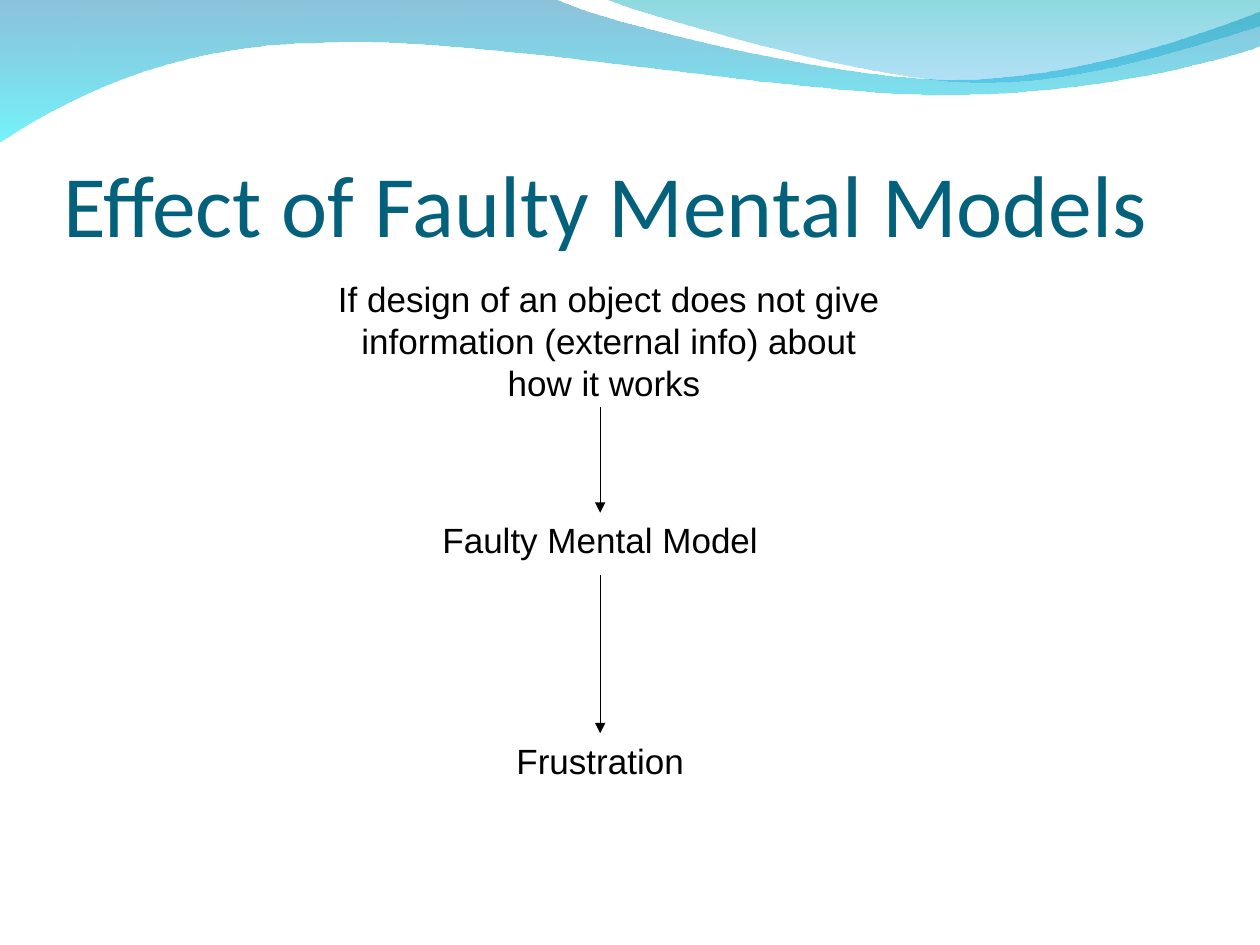
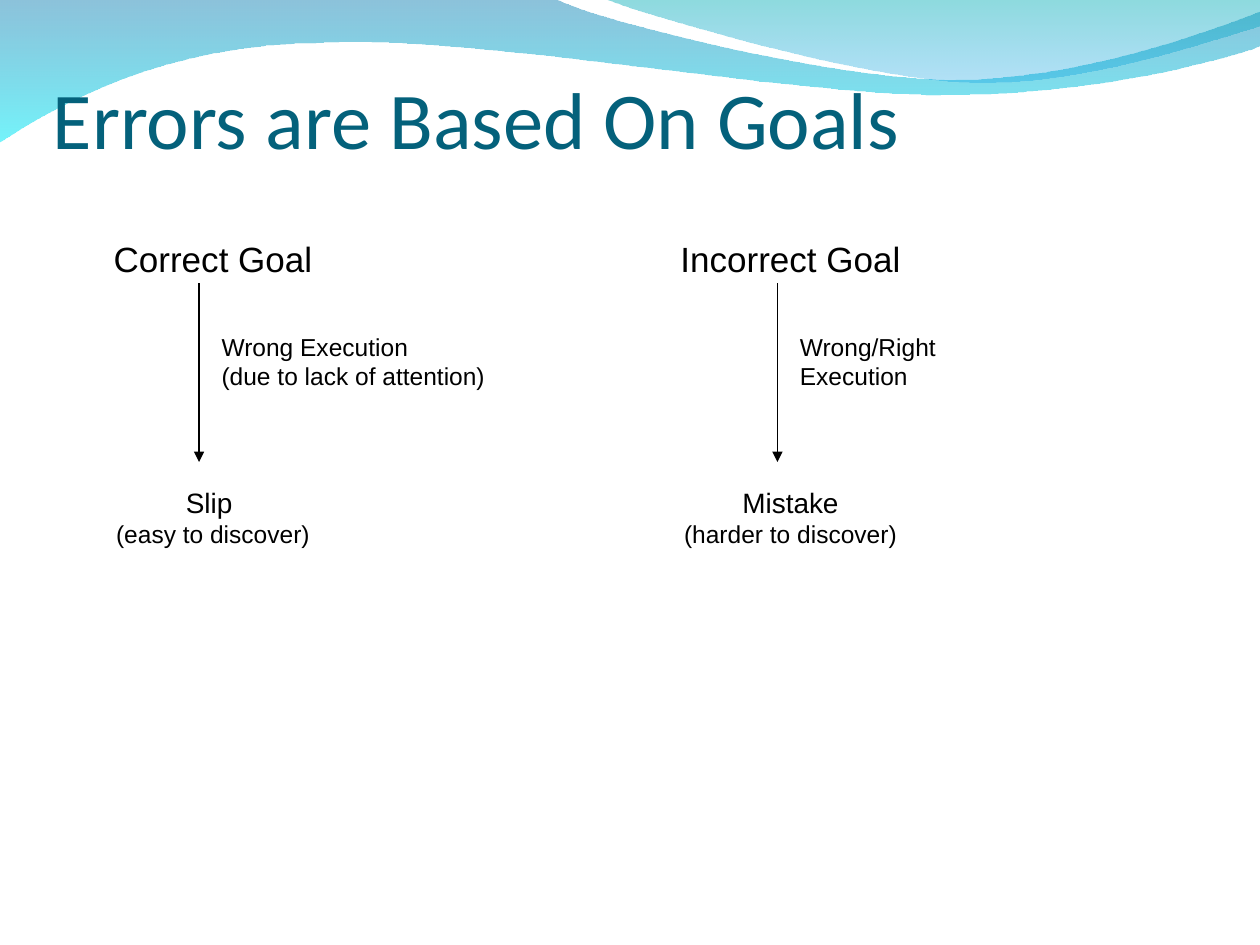
"""Build two slides on faulty mental models and goal-based errors."""
from dataclasses import dataclass

from lxml import etree
from pptx import Presentation
from pptx.dml.color import RGBColor
from pptx.enum import shapes, text
from pptx.oxml import ns
from pptx.util import Pt

TITLE_COLOR = RGBColor(0x04, 0x61, 0x7B)
INK = RGBColor(0x00, 0x00, 0x00)
WAVE_BLUE = RGBColor(0x00, 0x79, 0xAF)
WAVE_CYAN = RGBColor(0x00, 0xEB, 0xF8)
CREST_TEAL = RGBColor(0x00, 0xAD, 0xB6)
CREST_BLUE = RGBColor(0x00, 0x9B, 0xE5)
CENTER = text.PP_ALIGN.CENTER
LEFT = text.PP_ALIGN.LEFT


@dataclass(frozen=True)
class Wave:
    """A closed outline: each step holds one line end or three curve points."""

    start: tuple
    steps: tuple
    colors: tuple
    opacities: tuple


@dataclass(frozen=True)
class GoalFlow:
    """A column leading from a goal through its execution to an error."""

    goal: str
    execution: tuple
    outcome: tuple
    center: float
    goal_width: float
    outcome_width: float
    arrow_x: float
    execution_width: float


WAVES = (
    Wave(
        (0, -0.72),
        (
            ((316.8, -0.72),),
            ((342.72, 12.24), (478.08, 45.36), (545.76, 45.36)),
            ((614.16, 45.36), (689.76, 18.72), (720, 6.48)),
            ((720.72, 25.92),),
            ((707.76, 31.68), (626.4, 54.72), (537.12, 54)),
            ((446.4, 54), (275.04, 20.16), (185.04, 24.48)),
            ((92.88, 25.2), (33.12, 59.76), (-0.72, 81.36)),
            ((0, -0.72),),
        ),
        (WAVE_BLUE, WAVE_CYAN),
        (45, 55),
    ),
    Wave(
        (344.88, -0.72),
        (
            ((366.48, 7.92), (491.04, 44.64), (553.68, 46.8)),
            ((616.32, 49.68), (691.92, 23.04), (720, 15.12)),
            ((720, 0),),
            ((344.88, -0.72),),
        ),
        (CREST_TEAL, CREST_BLUE),
        (45, 30),
    ),
)

GOAL_FLOWS = (
    GoalFlow("Correct Goal", ("Wrong Execution", "(due to lack of attention)"),
             ("Slip ", "(easy to discover)"), 121.75, 128, 125, 113.75, 165),
    GoalFlow("Incorrect Goal", ("Wrong/Right", "Execution"),
             ("Mistake", "(harder to discover)"), 451.75, 140, 136, 444.25, 96.5),
)


def bend_outline(shape, steps: tuple) -> None:
    """Turn each run of three line segments that forms a step into one curve."""
    segments = iter(list(shape._element.spPr.iter(ns.qn("a:lnTo"))))
    for step in steps:
        first, *others = [next(segments) for _ in step]
        if others:
            first.tag = ns.qn("a:cubicBezTo")
        for segment in others:
            first.append(segment[0])
            segment.getparent().remove(segment)


def draw_wave(page, wave: Wave) -> None:
    """Draw a wave with a translucent vertical gradient."""
    points = [(Pt(x), Pt(y)) for step in wave.steps for x, y in step]
    builder = page.shapes.build_freeform(*map(Pt, wave.start))
    builder.add_line_segments(points, close=True)
    shape = builder.convert_to_shape()
    bend_outline(shape, wave.steps)
    shape.shadow.inherit = False
    shape.line.fill.background()
    shape.fill.gradient()
    shape.fill.gradient_angle = 270
    for stop, position, color in zip(shape.fill.gradient_stops, (0, 1), wave.colors):
        stop.position = position
        stop.color.rgb = color
    tints = shape._element.spPr.iter(ns.qn("a:srgbClr"))
    for tint, opacity in zip(tints, wave.opacities):
        etree.SubElement(tint, ns.qn("a:alpha"), val=str(opacity * 1000))


def add_text(page, lines, left: float, top: float, width: float, height: float, *,
             sizes=(20,), font="Arial", color=INK, align=CENTER, wrap=False,
             space_before=0, anchor=text.MSO_ANCHOR.TOP, insets=(7.2, 3.6, 7.2, 3.6),
             grow=True):
    """Add a text box with one paragraph per line and one size per paragraph."""
    box = page.shapes.add_textbox(Pt(left), Pt(top), Pt(width), Pt(height))
    frame = box.text_frame
    frame.word_wrap = wrap
    frame.auto_size = (text.MSO_AUTO_SIZE.SHAPE_TO_FIT_TEXT if grow
                       else text.MSO_AUTO_SIZE.NONE)
    frame.vertical_anchor = anchor
    (frame.margin_left, frame.margin_top,
     frame.margin_right, frame.margin_bottom) = map(Pt, insets)
    for index, (line, size) in enumerate(zip(lines, sizes)):
        para = frame.add_paragraph() if index else frame.paragraphs[0]
        para.alignment = align
        para.space_before = Pt(space_before)
        span = para.add_run()
        span.text = line
        span.font.name = font
        span.font.size = Pt(size)
        span.font.color.rgb = color
    return box


def add_arrow(page, x: float, top: float, bottom: float, target=None) -> None:
    """Draw a downward arrow, joined to the top of a target if there is one."""
    arrow = page.shapes.add_connector(shapes.MSO_CONNECTOR.STRAIGHT,
                                      Pt(x), Pt(top), Pt(x), Pt(bottom))
    if target is not None:
        arrow.end_connect(target, 0)
    arrow.line.color.rgb = INK
    arrow.line.width = Pt(0.75)
    etree.SubElement(arrow.line._get_or_add_ln(), ns.qn("a:tailEnd"), type="triangle")
    etree.SubElement(arrow._element.spPr, ns.qn("a:effectLst"))


def add_page(deck, title: str, left: float, top: float, height: float, size: float):
    """Add a page with the waves and a title."""
    page = deck.slides.add_slide(deck.slide_layouts[6])
    for wave in WAVES:
        draw_wave(page, wave)
    add_text(page, (title,), left, top, 648, height, sizes=(size,), font="Calibri",
             color=TITLE_COLOR, align=LEFT, wrap=True, grow=False,
             anchor=text.MSO_ANCHOR.BOTTOM, insets=(0, 3.6, 0, 0))
    return page


def build_models_page(deck) -> None:
    """Show how poor design leads to frustration."""
    page = add_page(deck, "Effect of Faulty Mental Models", 36.25, 55.5, 90, 50)
    add_text(page, ("If design of an object does not give information "
                    "(external info) about how it works ",),
             186, 155, 324, 79, wrap=True, space_before=5)
    model = add_text(page, ("Faulty Mental Model",), 245.5, 293, 195, 31.5)
    frustration = add_text(page, ("Frustration",), 288, 419, 110, 31.5,
                           wrap=True, space_before=5)
    add_arrow(page, 343, 232.5, 293, model)
    add_arrow(page, 343, 328.75, 419, frustration)


def draw_goal_flow(page, flow: GoalFlow) -> None:
    """Draw one column from goal to error."""
    add_text(page, (flow.goal,), flow.center - flow.goal_width / 2, 132,
             flow.goal_width, 31.5)
    add_arrow(page, flow.arrow_x, 161.75, 264)
    add_text(page, flow.execution, flow.arrow_x + 5.75, 186, flow.execution_width, 41,
             sizes=(14, 14), align=LEFT)
    add_text(page, flow.outcome, flow.center - flow.outcome_width / 2, 274,
             flow.outcome_width, 43, sizes=(16, 14))


def build_goals_page(deck) -> None:
    """Compare slips with mistakes."""
    page = add_page(deck, "Errors are Based On Goals", 30.25, 36, 58.5, 46)
    for flow in GOAL_FLOWS:
        draw_goal_flow(page, flow)


def main() -> None:
    """Build and save the deck."""
    deck = Presentation()
    deck.slide_width, deck.slide_height = Pt(720), Pt(540)
    build_models_page(deck)
    build_goals_page(deck)
    deck.save("out.pptx")


if __name__ == "__main__":
    main()
